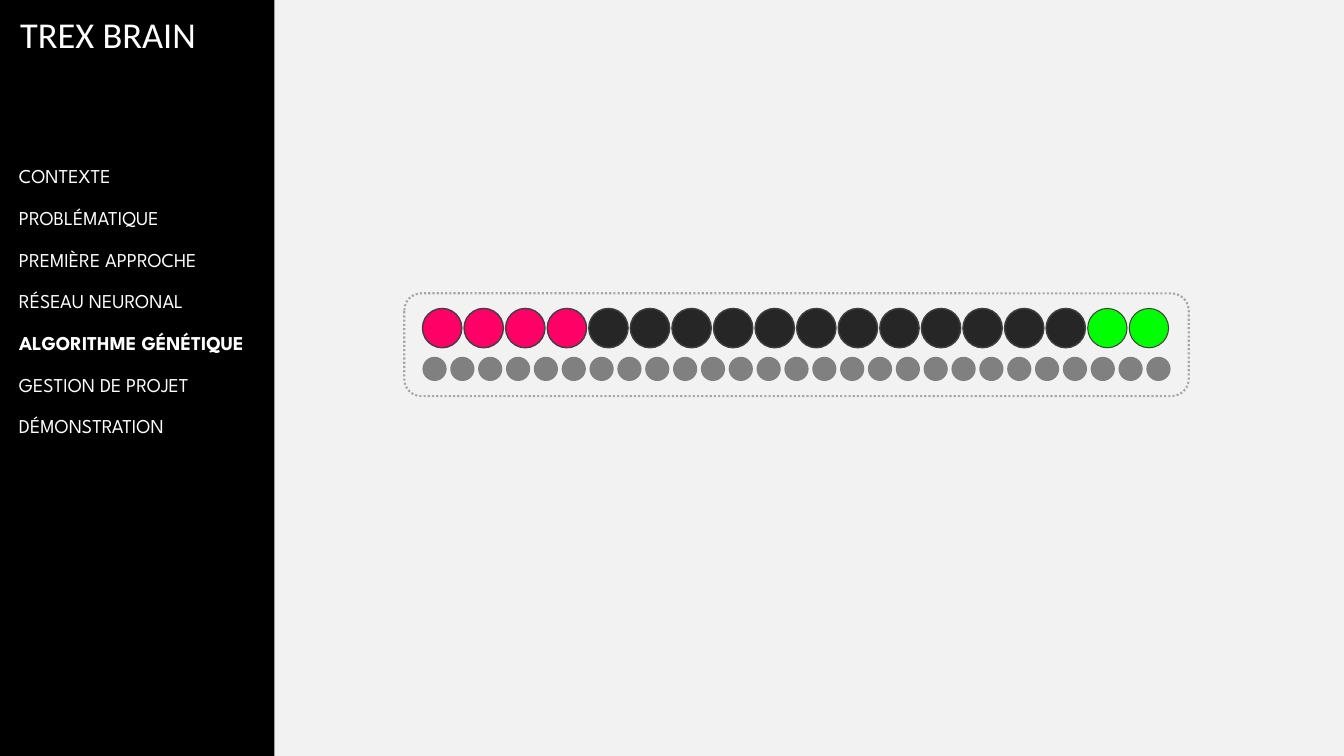
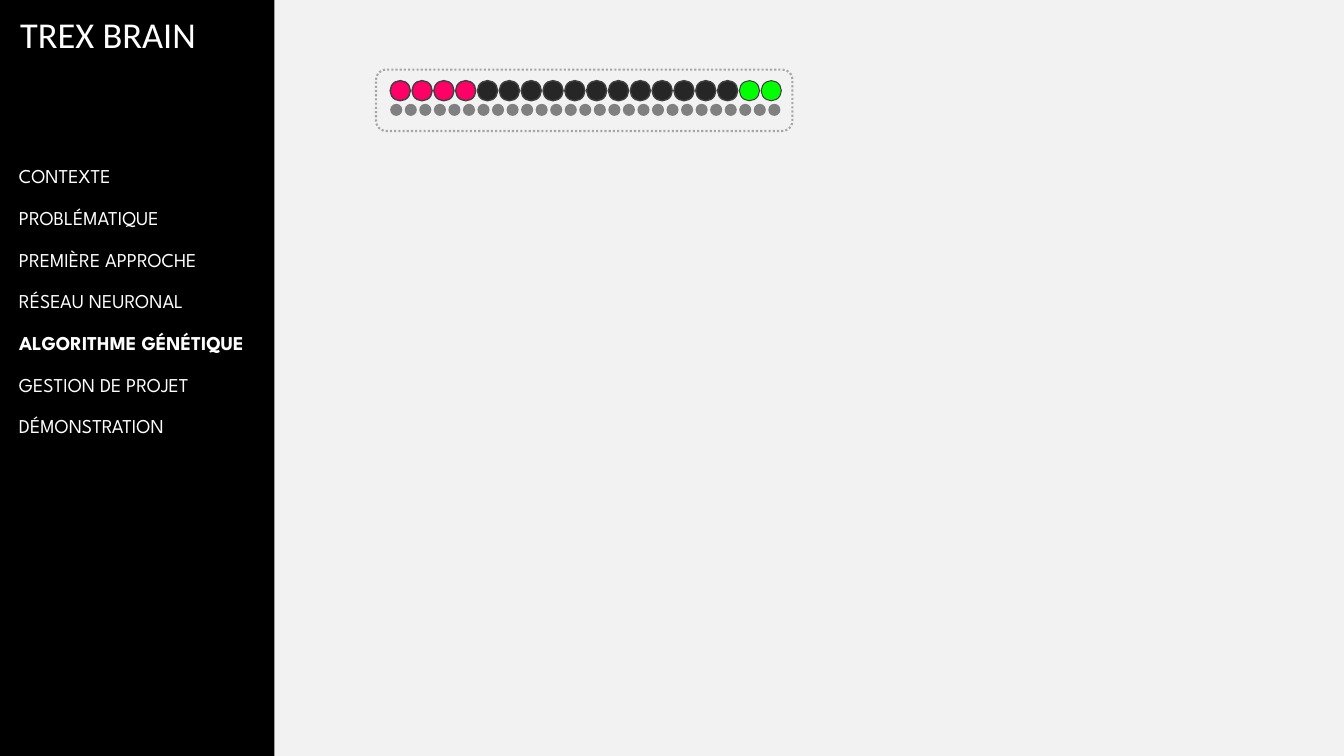
from lxml.etree import SubElement
from pptx import Presentation
from pptx.dml.color import RGBColor
from pptx.enum.dml import MSO_LINE
from pptx.enum.shapes import MSO_SHAPE
from pptx.enum.text import MSO_ANCHOR, MSO_AUTO_SIZE, PP_ALIGN
from pptx.oxml.ns import qn
from pptx.util import Inches, Pt

COLORS = {
    "background": "000000",
    "panel": "FFFFFF",
    "text": "FFFFFF",
    "frame": "A6A6A6",
    "outline": "404040",
    "input": "FF0066",
    "hidden": "262626",
    "output": "00FF00",
    "weight": "808080",
}
TITLE_FONT = {"name": "Calibri", "size": Pt(26), "bold": False}
MENU_FONT = {"name": "League Spartan", "size": Pt(14), "bold": False}
TITLE_FRAME = {"word_wrap": False, "auto_size": MSO_AUTO_SIZE.NONE, "vertical_anchor": MSO_ANCHOR.TOP}
MENU_FRAME = {"word_wrap": True, "auto_size": MSO_AUTO_SIZE.NONE, "vertical_anchor": MSO_ANCHOR.TOP}

TITLE = "TREX BRAIN"
MENU = [
    "CONTEXTE",
    "PROBLÉMATIQUE",
    "PREMIÈRE APPROCHE",
    "RÉSEAU NEURONAL",
    "ALGORITHME GÉNÉTIQUE",
    "GESTION DE PROJET",
    "DÉMONSTRATION",
]
ACTIVE_SECTION = "ALGORITHME GÉNÉTIQUE"
NEURONS = ["input"] * 4 + ["hidden"] * 12 + ["output"] * 2
WEIGHTS = ["weight"] * 27
OUTLINE_WIDTHS = {"input": 1, "hidden": 1, "output": 0.75}

GENOMES = [
    {
        "frame": (4.01, 2.91, 7.78, 1.02),
        "neurons": {"first": 4.19, "last": 11.2, "top": 3.06, "size": 0.39},
        "weights": {"first": 4.19, "last": 11.37, "top": 3.54, "size": 0.24},
    },
    {
        "frame": (3.73, 0.69, 4.13, 0.61),
        "neurons": {"first": 3.87, "last": 7.55, "top": 0.8, "size": 0.2},
        "weights": {"first": 3.87, "last": 7.62, "top": 1.03, "size": 0.12},
    },
]


def color(name):
    return RGBColor.from_string(COLORS[name])


def apply_format(target, values):
    for name, value in values.items():
        setattr(target, name, value)


def spread(first, last, count):
    step = (last - first) / (count - 1)
    return [first + step * index for index in range(count)]


class Deck:
    def __init__(self):
        self.presentation = Presentation()
        apply_format(self.presentation, {"slide_width": Inches(13.33), "slide_height": Inches(7.5)})
        background = self.presentation.slide_master.background.fill
        background.solid()
        background.fore_color.rgb = color("background")
        self.slide = None

    def add_slide(self):
        self.slide = self.presentation.slides.add_slide(self.presentation.slide_layouts[5])
        self.title()
        self.panel()

    def set_text(self, shape, text, frame_format, font_format):
        apply_format(shape.text_frame, frame_format)
        paragraph = shape.text_frame.paragraphs[0]
        paragraph.alignment = PP_ALIGN.LEFT
        run = paragraph.add_run()
        run.text = text
        apply_format(run.font, font_format)
        run.font.color.rgb = color("text")

    def title(self):
        shape = self.slide.shapes.title
        apply_format(shape, {
            "left": Inches(0.1), "top": Inches(0.07),
            "width": Inches(2.58), "height": Inches(0.54),
        })
        self.set_text(shape, TITLE, TITLE_FRAME, TITLE_FONT)

    def shape(self, kind, box, fill=None, line=None, width=1):
        shape = self.slide.shapes.add_shape(kind, *map(Inches, box))
        shape.shadow.inherit = False
        if fill:
            shape.fill.solid()
            shape.fill.fore_color.rgb = color(fill)
        else:
            shape.fill.background()
        if line:
            shape.line.color.rgb = color(line)
            shape.line.width = Pt(width)
        else:
            shape.line.fill.background()
        return shape

    def panel(self):
        panel = self.shape(MSO_SHAPE.RECTANGLE, (2.72, 0, 10.61, 7.5), "panel")
        fill_color = panel.element.spPr.find(qn("a:solidFill"))[0]
        SubElement(fill_color, qn("a:alpha"), val="95000")

    def menu(self, active):
        for text, top in zip(MENU, spread(1.58, 4.06, len(MENU))):
            width = 2.75 if text == active else 2.57
            box = self.slide.shapes.add_textbox(*map(Inches, (0.09, top, width, 0.34)))
            self.set_text(box, text, MENU_FRAME, {**MENU_FONT, "bold": text == active})

    def circles(self, kinds, first, last, top, size):
        for kind, left in zip(kinds, spread(first, last, len(kinds))):
            line = "outline" if kind in OUTLINE_WIDTHS else None
            self.shape(MSO_SHAPE.OVAL, (left, top, size, size), kind, line, OUTLINE_WIDTHS.get(kind))

    def genome(self, frame, neurons, weights):
        outline = self.shape(MSO_SHAPE.ROUNDED_RECTANGLE, frame, line="frame", width=1.5)
        outline.line.dash_style = MSO_LINE.ROUND_DOT
        self.circles(NEURONS, **neurons)
        self.circles(WEIGHTS, **weights)


def main():
    deck = Deck()
    for genome in GENOMES:
        deck.add_slide()
        deck.genome(**genome)
        deck.menu(ACTIVE_SECTION)
    deck.presentation.save("out.pptx")


if __name__ == "__main__":
    main()
